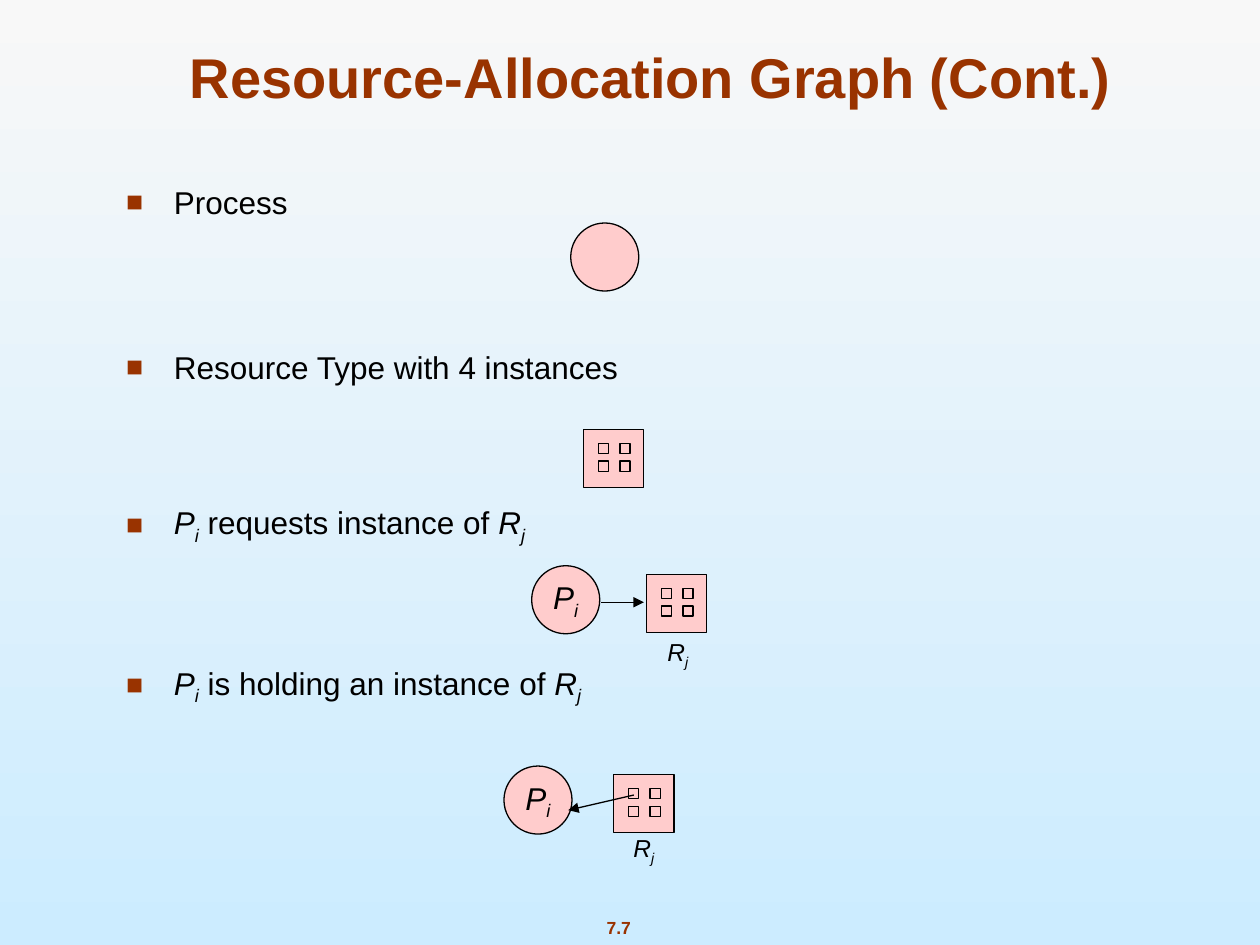
from lxml import etree
from pptx import Presentation
from pptx.dml import color
from pptx.enum import shapes, text
from pptx.oxml import ns
from pptx import util as u

BROWN, BLACK, PINK = "993300", "000000", "FFCCCC"
PROCESS_SIZE = 0.54
SUBSCRIPT = "-25000"


def rgb(hex_value):
    return color.RGBColor.from_string(hex_value)


def inches(*lengths):
    return [u.Inches(length) for length in lengths]


def add_xml(parent, tag, **attributes):
    return etree.SubElement(parent, ns.qn(tag), attributes)


def set_font(paragraph, size, hex_value=BLACK, bold=False):
    font = paragraph.font
    font.name, font.size, font.bold = "Arial", u.Pt(size), bold
    font.color.rgb = rgb(hex_value)


def add_runs(paragraph, wording):
    """Write plain words, and names such as P_i as italics with a subscript."""
    for part in wording.split("|"):
        base, mark, index = part.partition("_")
        run = paragraph.add_run()
        run.text = base
        if mark:
            run.font.italic = True
            subscript = paragraph.add_run()
            subscript.text = index
            subscript.font.italic = True
            subscript.font._element.set("baseline", SUBSCRIPT)


def fill_label(frame, wording, size, hex_value=BLACK, bold=False):
    frame.word_wrap = False
    frame.vertical_anchor = text.MSO_ANCHOR.MIDDLE
    paragraph = frame.paragraphs[0]
    paragraph.alignment = text.PP_ALIGN.CENTER
    set_font(paragraph, size, hex_value, bold)
    add_runs(paragraph, wording)


def add_label(slide, box, wording, size, hex_value=BLACK, bold=False):
    frame = slide.shapes.add_textbox(*inches(*box)).text_frame
    # Without side margins a name and its subscript fit on one line
    frame.margin_left = frame.margin_right = 0
    fill_label(frame, wording, size, hex_value, bold)


def add_node(parent, kind, left, top, width, height):
    node = parent.shapes.add_shape(kind, *inches(left, top, width, height))
    node.shadow.inherit = False
    node.fill.solid()
    node.fill.fore_color.rgb = rgb(PINK)
    node.line.color.rgb = rgb(BLACK)
    node.line.width = u.Pt(0.75)
    return node


def add_process(slide, left, top, wording=None):
    process = add_node(slide, shapes.MSO_SHAPE.OVAL, left, top,
                       PROCESS_SIZE, PROCESS_SIZE)
    if wording:
        fill_label(process.text_frame, wording, 18)


def add_resource(slide, left, top):
    """A resource type with its four instances in a two by two grid."""
    resource = slide.shapes.add_group_shape()
    square = shapes.MSO_SHAPE.RECTANGLE
    add_node(resource, square, left, top, 0.48, 0.46)
    for row in range(2):
        for column in range(2):
            add_node(resource, square, left + 0.12 + 0.17 * column,
                     top + 0.11 + 0.14 * row, 0.08, 0.08)


def add_edge(slide, start, end):
    edge = slide.shapes.add_connector(shapes.MSO_CONNECTOR.STRAIGHT,
                                      *inches(*start, *end))
    edge.line.color.rgb = rgb(BLACK)
    edge.line.width = u.Pt(0.75)
    add_xml(edge.line._get_or_add_ln(), "a:tailEnd", type="triangle")
    add_xml(edge._element.spPr, "a:effectLst")


def add_bullet(paragraph):
    properties = paragraph._p.get_or_add_pPr()
    properties.set("marL", str(u.Inches(0.38)))
    properties.set("indent", str(u.Inches(-0.38)))
    bullet_color = add_xml(properties, "a:buClr")
    add_xml(bullet_color, "a:srgbClr", val=BROWN)
    add_xml(properties, "a:buSzPct", val="90000")
    add_xml(properties, "a:buFont", typeface="Arial")
    add_xml(properties, "a:buChar", char="■")


def place(placeholder, box):
    (placeholder.left, placeholder.top,
     placeholder.width, placeholder.height) = inches(*box)
    placeholder.text_frame.auto_size = text.MSO_AUTO_SIZE.NONE
    return placeholder.text_frame


def set_background(slide):
    fill = slide.background.fill
    fill.gradient()
    fill.gradient_angle = 270
    for stop, position, hex_value in zip(fill.gradient_stops, (0, 1),
                                         ("F8F8F8", "CCECFF")):
        stop.position = position
        stop.color.rgb = rgb(hex_value)


def set_title(slide, wording):
    frame = place(slide.shapes.title, (0.75, 0.25, 8.83, 0.67))
    frame.vertical_anchor = text.MSO_ANCHOR.BOTTOM
    title = frame.paragraphs[0]
    title.alignment = text.PP_ALIGN.CENTER
    set_font(title, 32, BROWN, bold=True)
    add_runs(title, wording)


def set_legend(slide, entries):
    frame = place(slide.placeholders[1], (0.9, 1.4, 8.04, 4.9))
    for number, (wording, space_before) in enumerate(entries):
        entry = frame.add_paragraph() if number else frame.paragraphs[0]
        add_bullet(entry)
        entry.space_before = u.Pt(space_before)
        set_font(entry, 18)
        add_runs(entry, wording)


def main():
    deck = Presentation()
    deck.slide_width, deck.slide_height = inches(10, 7.5)
    slide = deck.slides.add_slide(deck.slide_layouts[1])
    set_background(slide)

    # Title, legend and page number
    set_title(slide, "Resource-Allocation Graph (Cont.)")
    set_legend(slide, [
        ("Process", 0),
        ("Resource Type with 4 instances", 73),
        ("P_i| requests instance of |R_j", 67),
        ("P_i| is holding an instance of |R_j", 67),
    ])
    add_label(slide, (4.42, 7.23, 0.98, 0.27), "7.7", 10, BROWN, bold=True)

    # Process and resource type on their own
    add_process(slide, 4.53, 1.77)
    add_resource(slide, 4.63, 3.41)

    # Request edge
    add_process(slide, 4.22, 4.49, "P_i")
    add_resource(slide, 5.13, 4.56)
    add_edge(slide, (4.77, 4.78), (5.11, 4.78))
    add_label(slide, (5.2, 5, 0.36, 0.37), "R_j", 14)

    # Assignment edge
    add_process(slide, 4, 6.08, "P_i")
    add_resource(slide, 4.87, 6.15)
    add_edge(slide, (5.03, 6.31), (4.51, 6.43))
    add_label(slide, (4.93, 6.56, 0.36, 0.37), "R_j", 14)

    deck.save("out.pptx")


if __name__ == "__main__":
    main()
